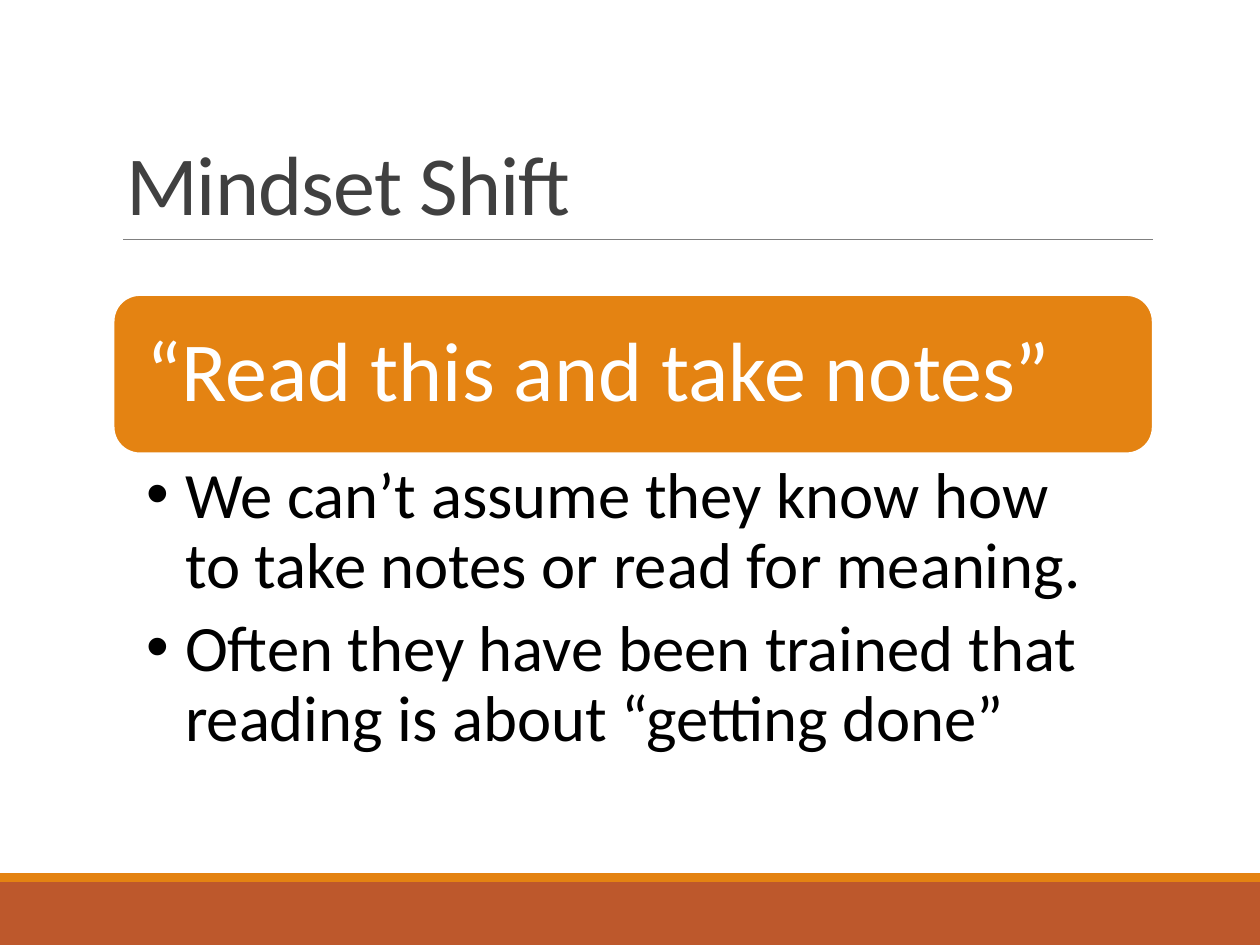
"""Build the Mindset Shift slide."""
from dataclasses import dataclass

from pptx import Presentation
from pptx.dml.color import RGBColor
from pptx.enum import shapes, text
from pptx.oxml import ns
from pptx.util import Inches, Pt

WHITE = RGBColor(0xFF, 0xFF, 0xFF)
BLACK = RGBColor(0, 0, 0)
ORANGE = RGBColor(0xE4, 0x83, 0x12)
RUST = RGBColor(0xBD, 0x58, 0x2C)
CHARCOAL = RGBColor(0x40, 0x40, 0x40)
GRAY = RGBColor(0x80, 0x80, 0x80)
LEFT, WIDTH = 0.9, 8.25
POINTS = (
    "We can\u2019t assume they know how to take notes or read for meaning.",
    "Often they have been trained that reading is about \u201cgetting done\u201d",
)


@dataclass(frozen=True)
class Panel:
    """A filled shape and its place in inches."""
    kind: shapes.MSO_SHAPE
    left: float
    top: float
    width: float
    height: float
    fill: RGBColor


FOOTER = Panel(shapes.MSO_SHAPE.RECTANGLE, 0, 7, 10, 0.5, RUST)
STRIPE = Panel(shapes.MSO_SHAPE.RECTANGLE, 0, 6.93, 10, 0.07, ORANGE)
BANNER = Panel(shapes.MSO_SHAPE.ROUNDED_RECTANGLE, LEFT, 2.34, WIDTH, 1.26, ORANGE)


def add_panel(slide, panel: Panel):
    """Draw a panel without outline or shadow."""
    shape = slide.shapes.add_shape(
        panel.kind, *map(Inches, (panel.left, panel.top, panel.width, panel.height)))
    shape.shadow.inherit = False
    shape.fill.solid()
    shape.fill.fore_color.rgb = panel.fill
    shape.line.fill.background()
    return shape


def place(shape, top: float, height: float) -> None:
    """Move a placeholder into the content column."""
    shape.left, shape.top = Inches(LEFT), Inches(top)
    shape.width, shape.height = Inches(WIDTH), Inches(height)


def set_frame(frame, anchor: text.MSO_ANCHOR, left: float, right: float, edge: float) -> None:
    """Set the anchor, wrapping and insets of a text frame."""
    frame.word_wrap = True
    frame.auto_size = text.MSO_AUTO_SIZE.NONE
    frame.vertical_anchor = anchor
    frame.margin_left, frame.margin_right = Inches(left), Inches(right)
    frame.margin_top = frame.margin_bottom = Inches(edge)


def set_paragraph(paragraph, size: float, color: RGBColor, spacing: float, after: float = 0) -> None:
    """Style a left-aligned paragraph."""
    paragraph.alignment = text.PP_ALIGN.LEFT
    paragraph.line_spacing = spacing
    paragraph.space_before, paragraph.space_after = Pt(0), Pt(after)
    paragraph.font.name, paragraph.font.size = "Calibri", Pt(size)
    paragraph.font.color.rgb = color


def add_bullet(paragraph) -> None:
    """Give a paragraph a round bullet and a hanging indent."""
    properties = paragraph._p.get_or_add_pPr()
    properties.set("marL", str(Inches(0.31)))
    properties.set("indent", str(-Inches(0.31)))
    bullet = properties.makeelement(ns.qn("a:buChar"), {"char": "\u2022"})
    properties.insert_element_before(bullet, "a:tabLst", "a:defRPr", "a:extLst")


def add_rule(slide) -> None:
    """Draw the thin line under the title."""
    rule = slide.shapes.add_connector(
        shapes.MSO_CONNECTOR.STRAIGHT, *map(Inches, (0.98, 1.9, 9.15, 1.9)))
    rule.line.color.rgb, rule.line.width = GRAY, Pt(0.5)
    properties = rule._element.spPr
    properties.append(properties.makeelement(ns.qn("a:effectLst"), {}))


def main() -> None:
    """Compose and save the slide."""
    deck = Presentation()
    deck.slide_width, deck.slide_height = Inches(10), Inches(7.5)
    slide = deck.slides.add_slide(deck.slide_layouts[1])
    for panel in (FOOTER, STRIPE):
        add_panel(slide, panel)
    add_rule(slide)

    title = slide.shapes.title
    place(title, 0.31, 1.59)
    title.text_frame.text = "Mindset Shift"
    set_frame(title.text_frame, text.MSO_ANCHOR.BOTTOM, 0.1, 0.1, 0.05)
    heading = title.text_frame.paragraphs[0]
    set_paragraph(heading, 48, CHARCOAL, 0.85)
    heading.runs[0].font._element.set("spc", "-50")

    banner = add_panel(slide, BANNER)
    banner.line.color.rgb, banner.line.width = WHITE, Pt(1.25)
    banner.text_frame.text = "\u201cRead this and take notes\u201d"
    set_frame(banner.text_frame, text.MSO_ANCHOR.MIDDLE, 0.2, 0.2, 0.2)
    set_paragraph(banner.text_frame.paragraphs[0], 48, WHITE, 0.9)

    body = slide.placeholders[1]
    place(body, 3.6, 2.5)
    body.text_frame.text = "\n".join(POINTS)
    set_frame(body.text_frame, text.MSO_ANCHOR.TOP, 0.26, 0.37, 0.07)
    for point in body.text_frame.paragraphs:
        set_paragraph(point, 37, BLACK, 0.9, after=7.4)
        add_bullet(point)

    deck.save("out.pptx")


main()
